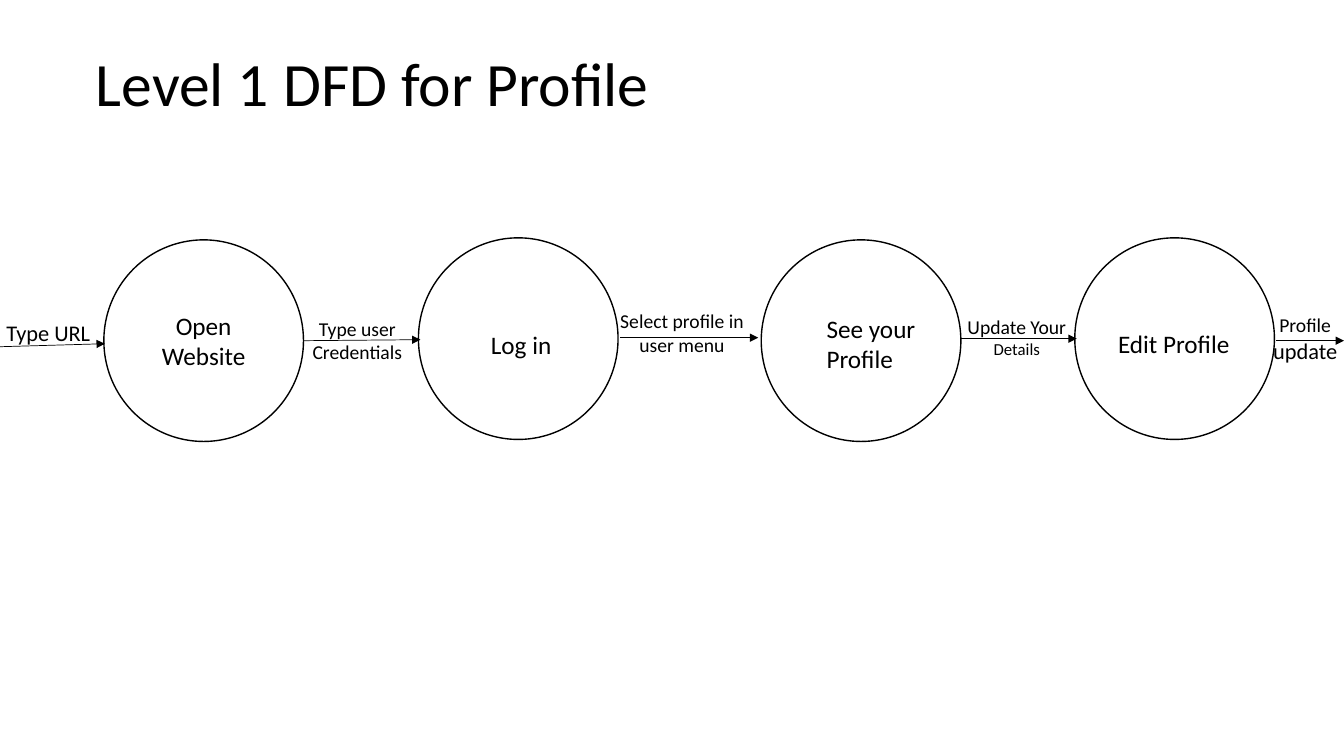
from lxml.etree import SubElement
from pptx import Presentation
from pptx.dml.color import RGBColor
from pptx.enum.shapes import MSO_CONNECTOR, MSO_SHAPE
from pptx.enum.text import MSO_ANCHOR, MSO_AUTO_SIZE, PP_ALIGN
from pptx.oxml.ns import qn
from pptx.util import Inches, Pt

BLACK = RGBColor(0, 0, 0)
WHITE = RGBColor(255, 255, 255)
LEFT, CENTER = PP_ALIGN.LEFT, PP_ALIGN.CENTER


def write(frame, lines, align):
    """Fill a frame with paragraphs, each a list of (text, size) runs."""
    frame.word_wrap = True
    for i, runs in enumerate(lines):
        para = frame.add_paragraph() if i else frame.paragraphs[0]
        para.alignment = align
        for text, size in runs:
            run = para.add_run()
            run.text = text
            run.font.name = "Calibri"
            run.font.size = Pt(size)
            run.font.color.rgb = BLACK


deck = Presentation()
deck.slide_width, deck.slide_height = Inches(13.33), Inches(7.5)
slide = deck.slides.add_slide(deck.slide_layouts[5])
shapes = slide.shapes

title = shapes.title
title.left, title.top = Inches(0.85), Inches(0.4)
title.width, title.height = Inches(9.42), Inches(1.14)
title.text_frame.auto_size = MSO_AUTO_SIZE.NONE
title.text_frame.vertical_anchor = MSO_ANCHOR.TOP
write(title.text_frame, [[("Level 1 DFD for Profile", 44)]], LEFT)

# Process circles
steps = []
for left, top in [(1.03, 2.38), (4.15, 2.36), (7.55, 2.38), (10.66, 2.36)]:
    step = shapes.add_shape(MSO_SHAPE.OVAL, Inches(left), Inches(top),
                            Inches(1.98), Inches(2))
    step.shadow.inherit = False
    step.fill.solid()
    step.fill.fore_color.rgb = WHITE
    step.line.color.rgb = BLACK
    step.line.width = Pt(1)
    steps.append(step)
steps[0].text_frame.vertical_anchor = MSO_ANCHOR.MIDDLE
write(steps[0].text_frame, [[("Open Website", 18)]], CENTER)

# Data flow arrows
flows = [
    (0, 3.44, 1.04, 3.41),
    (3.01, 3.38, 4.17, 3.37),
    (6.15, 3.35, 7.52, 3.35),
    (9.53, 3.36, 10.68, 3.36),
    (12.66, 3.38, 13.33, 3.38),
]
for ends in flows:
    flow = shapes.add_connector(MSO_CONNECTOR.STRAIGHT, *map(Inches, ends))
    flow.line.color.rgb = BLACK
    flow.line.width = Pt(0.5)
    SubElement(flow.line._get_or_add_ln(), qn("a:tailEnd"), type="triangle")
    SubElement(flow._element.spPr, qn("a:effectLst"))

# Labels of the flows and of the other circles
labels = [
    (-0.12, 3.12, 1.2, 0.37, CENTER, [[("Type URL", 16)]]),
    (2.61, 3.09, 1.87, 0.57, CENTER,
     [[("Type user", 14)], [("Credentials", 14)]]),
    (4.77, 3.22, 0.89, 0.4, LEFT, [[("Log in", 18)]]),
    (5.9, 3.02, 1.73, 0.57, CENTER, [[("Select profile in user menu", 14)]]),
    (8.1, 3.06, 1.6, 0.71, LEFT, [[("See your Profile", 18)]]),
    (10.99, 3.21, 1.58, 0.4, LEFT, [[("Edit Profile", 18)]]),
    (9.38, 3.08, 1.41, 0.54, CENTER,
     [[("Update Your ", 14), ("Details", 12)]]),
    (12.31, 3.06, 1.27, 0.64, CENTER, [[("Profile ", 14), ("update", 16)]]),
]
for left, top, width, height, align, lines in labels:
    label = shapes.add_textbox(Inches(left), Inches(top),
                               Inches(width), Inches(height))
    write(label.text_frame, lines, align)

deck.save("out.pptx")
